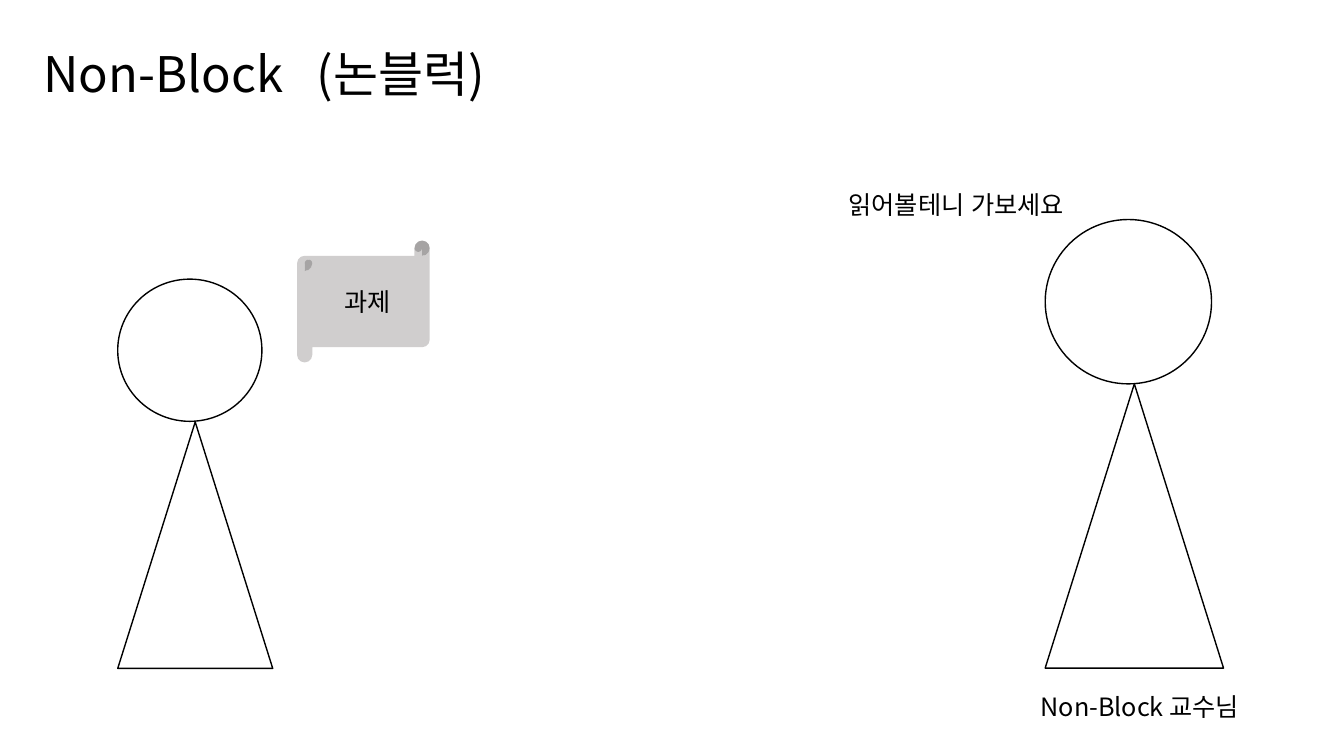
from lxml.etree import SubElement
from pptx import Presentation
from pptx.dml.color import RGBColor
from pptx.enum.lang import MSO_LANGUAGE_ID as Language
from pptx.enum.shapes import MSO_SHAPE as Preset
from pptx.enum.text import MSO_ANCHOR as Anchor, MSO_AUTO_SIZE as AutoSize, PP_ALIGN as Align
from pptx.oxml.ns import qn
from pptx.util import Pt

COLORS = {"paper": "FFFFFF", "ink": "000000", "scroll": "D0CECE"}
FONT = "Noto Sans CJK KR"


def color(name):
    return RGBColor.from_string(COLORS[name])


def write(box, text, size):
    para = box.text_frame.paragraphs[0]
    span = para.add_run()
    span.text = text
    span.font.color.rgb = color("ink")
    for name, value in {"name": FONT, "size": Pt(size), "language_id": Language.KOREAN}.items():
        setattr(span.font, name, value)
    SubElement(span.font._element, qn("a:ea"), typeface=FONT)
    return para


deck = Presentation()
deck.slide_width, deck.slide_height = Pt(960), Pt(540)
page = deck.slides.add_slide(deck.slide_layouts[6])

professor = [
    (Preset.OVAL, 746.6, 156.8, 118.8, 117.4),
    (Preset.ISOSCELES_TRIANGLE, 746.6, 274.2, 127.4, 203),
]
student = [
    (Preset.OVAL, 84.1, 199.4, 103, 101.6),
    (Preset.ISOSCELES_TRIANGLE, 84.1, 301.4, 110.7, 176),
]
for parts in (professor, student):
    person = page.shapes.add_group_shape()
    for preset, *place in parts:
        part = person.shapes.add_shape(preset, *map(Pt, place))
        part.shadow.inherit = False
        part.fill.solid()
        part.fill.fore_color.rgb = color("paper")
        part.line.color.rgb = color("ink")
        part.line.width = Pt(1)

scroll = page.shapes.add_shape(Preset.HORIZONTAL_SCROLL, Pt(212.2), Pt(171.8), Pt(94.8), Pt(87.1))
scroll.shadow.inherit = False
scroll.fill.solid()
scroll.fill.fore_color.rgb = color("scroll")
scroll.line.fill.background()
scroll.text_frame.vertical_anchor = Anchor.MIDDLE
write(scroll, "과제", 18).alignment = Align.CENTER

labels = [
    ("Non-Block 교수님", 18, 736.2, 490.3, 198, 28.8),
    ("읽어볼테니 가보세요", 18, 599, 131.8, 193, 28.8),
    ("Non-Block\t(논블럭)", 35, 23.8, 27.4, 748, 49.7),
]
for text, size, *place in labels:
    box = page.shapes.add_textbox(*map(Pt, place))
    for name, value in {"word_wrap": True, "auto_size": AutoSize.SHAPE_TO_FIT_TEXT}.items():
        setattr(box.text_frame, name, value)
    para = write(box, text, size)
    if "\t" in text:
        stops = SubElement(para._p.get_or_add_pPr(), qn("a:tabLst"))
        SubElement(stops, qn("a:tab"), pos=str(Pt(195.4)), algn="l")

deck.save("out.pptx")
